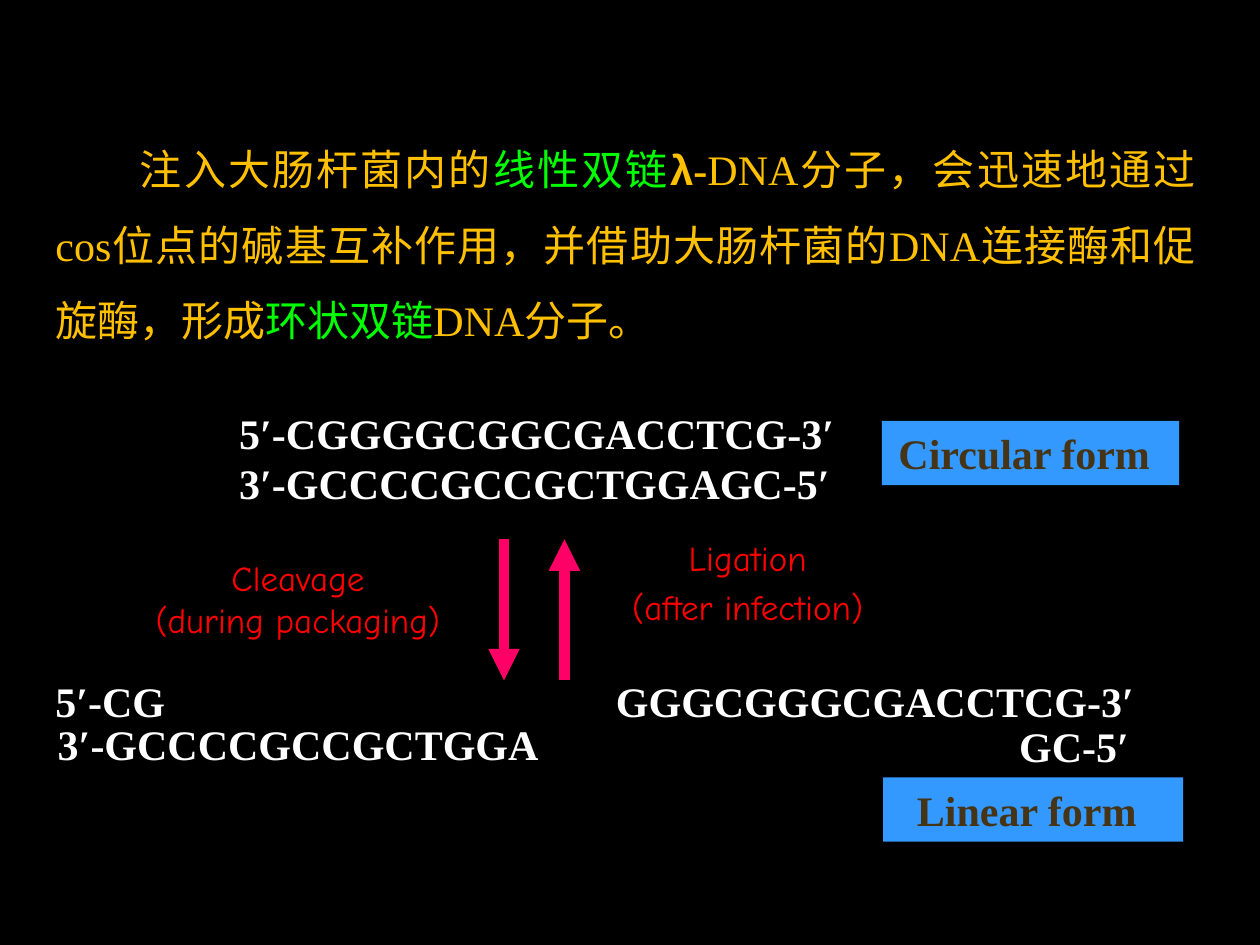
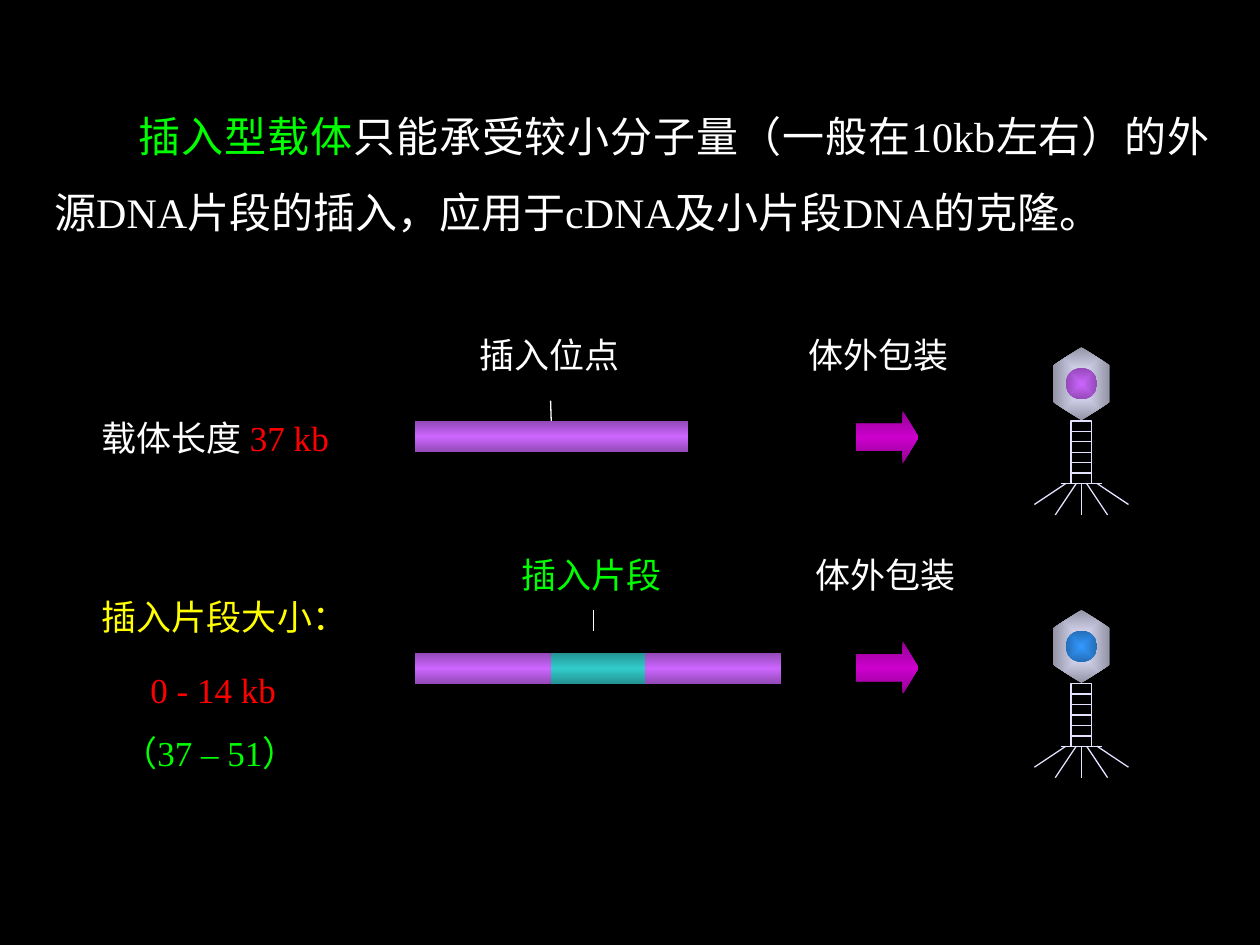
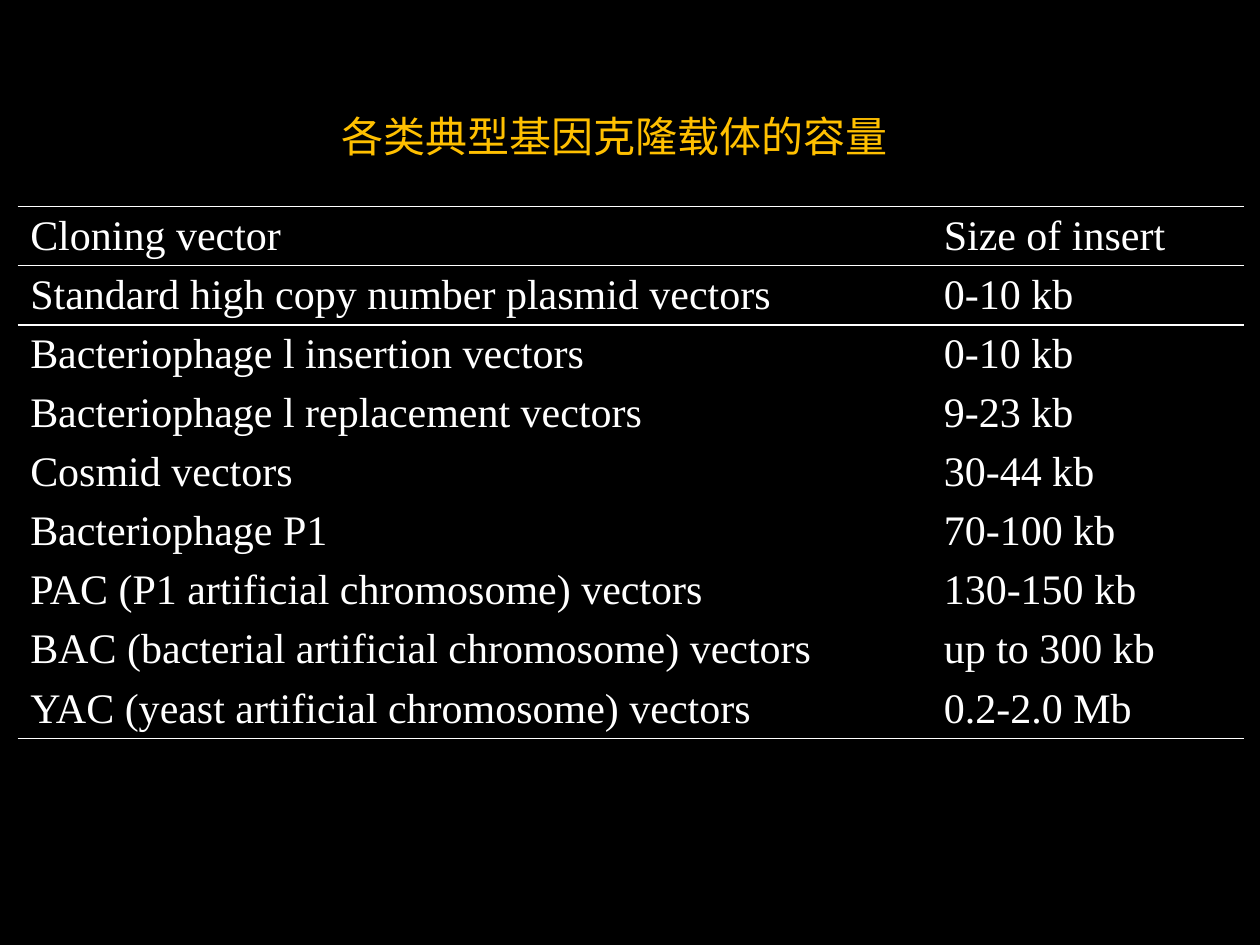
from dataclasses import dataclass
from typing import NamedTuple

from pptx import Presentation
from pptx.dml.color import RGBColor
from pptx.enum.shapes import MSO_CONNECTOR, MSO_SHAPE
from pptx.enum.text import MSO_ANCHOR, MSO_AUTO_SIZE, PP_ALIGN
from pptx.oxml import parse_xml
from pptx.oxml.ns import nsdecls, qn
from pptx.oxml.xmlchemy import OxmlElement
from pptx.util import Emu, Inches, Pt

SLIDE_WIDTH, SLIDE_HEIGHT = Inches(10), Inches(7.5)
COLUMNS, ROWS = 100, 75  # square grid cells

BLACK = RGBColor(0x00, 0x00, 0x00)
WHITE = RGBColor(0xFF, 0xFF, 0xFF)
GOLD = RGBColor(0xFF, 0xC0, 0x00)
GREEN = RGBColor(0x00, 0xFF, 0x00)
RED = RGBColor(0xFF, 0x00, 0x00)
YELLOW = RGBColor(0xFF, 0xFF, 0x00)
PINK = RGBColor(0xFF, 0x00, 0x66)
BLUE = RGBColor(0x33, 0x99, 0xFF)
DARK_BLUE = RGBColor(0x24, 0x6D, 0xB6)
BROWN = RGBColor(0x46, 0x34, 0x16)
PURPLE = RGBColor(0xCC, 0x66, 0xFF)
DARK_PURPLE = RGBColor(0x92, 0x49, 0xB6)
TEAL = RGBColor(0x33, 0xCC, 0xCC)
DARK_TEAL = RGBColor(0x24, 0x92, 0x92)
MAGENTA = RGBColor(0xCC, 0x00, 0xCC)
DARK_MAGENTA = RGBColor(0x92, 0x00, 0x92)
LAVENDER = RGBColor(0xE3, 0xE3, 0xFF)
DARK_LAVENDER = RGBColor(0x93, 0x93, 0xA5)

SERIF, SANS, ROUNDED, HAN = "Times New Roman", "Arial", "Comic Neue", "Noto Sans CJK SC"
PLAIN_TABLE_STYLE = "{2D5ABB26-0587-4C30-8999-92F81FD0307C}"


class Area(NamedTuple):
    """A rectangle in grid columns and rows."""
    left: float
    top: float
    width: float
    height: float


class Span(NamedTuple):
    text: str
    color: RGBColor = WHITE
    font: str = SERIF
    bold: bool = False


@dataclass
class Label:
    area: Area
    lines: list[list[Span]]
    size: int = 24
    align: PP_ALIGN = PP_ALIGN.LEFT
    anchor: MSO_ANCHOR = MSO_ANCHOR.TOP
    line_spacing: float = 1.0
    gap: int = 0


def columns(count: float) -> Emu:
    return Emu(round(SLIDE_WIDTH * count / COLUMNS))


def rows(count: float) -> Emu:
    return Emu(round(SLIDE_HEIGHT * count / ROWS))


def place(area: Area) -> tuple[Emu, Emu, Emu, Emu]:
    return columns(area.left), rows(area.top), columns(area.width), rows(area.height)


def move(shape, area: Area) -> None:
    shape.left, shape.top, shape.width, shape.height = place(area)


def format_run(run, span: Span, size: int) -> None:
    font = run.font
    font.name, font.size, font.bold = span.font, Pt(size), span.bold
    font.color.rgb = span.color
    east_asian = OxmlElement("a:ea")
    east_asian.set("typeface", HAN)
    font._element.find(qn("a:latin")).addnext(east_asian)


def write(frame, label: Label) -> None:
    frame.word_wrap = True
    frame.auto_size = MSO_AUTO_SIZE.NONE
    frame.vertical_anchor = label.anchor
    for index, spans in enumerate(label.lines):
        para = frame.add_paragraph() if index else frame.paragraphs[0]
        para.alignment = label.align
        para.line_spacing = label.line_spacing
        para.space_before = Pt(label.gap if index else 0)
        for span in spans:
            run = para.add_run()
            run.text = span.text
            format_run(run, span, label.size)


def add_label(page, label: Label) -> None:
    write(page.shapes.add_textbox(*place(label.area)).text_frame, label)


def add_prose(page, label: Label) -> None:
    """Fill the body placeholder with one indented, unbulleted paragraph."""
    title = page.shapes.title._element
    title.getparent().remove(title)
    body = page.placeholders[1]
    move(body, label.area)
    properties = body.text_frame.paragraphs[0]._p.get_or_add_pPr()
    properties.set("marL", "0")
    properties.set("indent", str(columns(6.7)))
    properties.append(OxmlElement("a:buNone"))
    write(body.text_frame, label)


def add_figure(page, kind: MSO_SHAPE, area: Area, fill: RGBColor | None = None):
    figure = page.shapes.add_shape(kind, *place(area))
    figure.shadow.inherit = False
    figure.line.fill.background()
    if fill is None:
        figure.fill.background()
    else:
        figure.fill.solid()
        figure.fill.fore_color.rgb = fill
    return figure


def shade(figure, colors: list[RGBColor], radial: bool = False) -> None:
    """Give the figure evenly spaced gradient stops, from the centre or downwards."""
    last = len(colors) - 1
    stops = "".join(
        f'<a:gs pos="{100000 * index // last}"><a:srgbClr val="{color}"/></a:gs>'
        for index, color in enumerate(colors))
    if radial:
        direction = ('<a:path path="shape"><a:fillToRect l="50000" t="50000" '
                     'r="50000" b="50000"/></a:path>')
    else:
        direction = '<a:lin ang="5400000" scaled="1"/>'
    gradient = parse_xml(f'<a:gradFill {nsdecls("a")} rotWithShape="0">'
                         f'<a:gsLst>{stops}</a:gsLst>{direction}</a:gradFill>')
    properties = figure._element.spPr
    properties.replace(properties.find(qn("a:noFill")), gradient)


def add_line(page, start: tuple[float, float], end: tuple[float, float],
             color: RGBColor, weight: float = 0.75, arrow: bool = False):
    line = page.shapes.add_connector(
        MSO_CONNECTOR.STRAIGHT, columns(start[0]), rows(start[1]),
        columns(end[0]), rows(end[1]))
    line.line.color.rgb = color
    line.line.width = Pt(weight)
    if arrow:
        tip = OxmlElement("a:tailEnd")
        tip.set("type", "triangle")
        line.line._get_or_add_ln().append(tip)
    line._element.spPr.append(OxmlElement("a:effectLst"))
    return line


def add_bar(page, left: float, top: float, width: float,
            color: RGBColor = PURPLE, edge: RGBColor = DARK_PURPLE):
    bar = add_figure(page, MSO_SHAPE.RECTANGLE, Area(left, top, width, 2.5))
    shade(bar, [edge, color, edge])
    return bar


def add_phage(page, center: float, neck: float, core: list[RGBColor]) -> None:
    """Draw a phage whose head meets its tail at the neck row."""
    unit = 0.83
    middle = neck - 2.95
    head = add_figure(page, MSO_SHAPE.HEXAGON,
                      Area(center - 2.9, middle - 2.25, 5.8, 4.5))
    head.rotation = 270
    head.adjustments[0] = 0.32
    shade(head, [LAVENDER, DARK_LAVENDER], radial=True)
    genome = add_figure(page, MSO_SHAPE.OVAL,
                        Area(center - 1.25, middle - 1.25, 2.5, 2.5))
    shade(genome, core, radial=True)

    for index in range(6):
        segment = add_figure(page, MSO_SHAPE.RECTANGLE,
                             Area(center - unit, neck + index * unit, 2 * unit, unit))
        segment.line.color.rgb = LAVENDER
        segment.line.width = Pt(0.75)

    base = neck + 6 * unit
    add_line(page, (center - 2 * unit, base), (center + 2 * unit, base), LAVENDER)
    for hip, foot, drop in ((-1.5, -4.5, 2), (1.5, 4.5, 2),
                            (-0.5, -2.5, 3), (0.5, 2.5, 3), (0, 0, 3)):
        leg = add_line(page, (center + hip * unit, base),
                       (center + foot * unit, base + drop * unit), LAVENDER)
        if hip == 0:
            leg.begin_connect(segment, 2)


def build_cos_site(deck) -> None:
    page = deck.slides.add_slide(deck.slide_layouts[1])
    add_prose(page, Label(Area(3.4, 8.9, 92.5, 19.2), [[
        Span("注入大肠杆菌内的", GOLD), Span("线性双链", GREEN),
        Span("λ", GOLD, SANS, True), Span("-", GOLD, bold=True),
        Span("DNA分子，会迅速地通过cos位点的碱基互补作用，"
             "并借助大肠杆菌的DNA连接酶和促旋酶，形成", GOLD),
        Span("环状双链", GREEN), Span("DNA分子。", GOLD),
    ]], align=PP_ALIGN.JUSTIFY, line_spacing=1.5))

    top, bottom = 42.8, 54
    add_line(page, (40, top), (40, bottom), PINK, 6, arrow=True)
    add_line(page, (44.8, bottom), (44.8, top), PINK, 6, arrow=True)

    for name, area in (("Circular form", Area(70, 33.4, 23.6, 5.1)),
                       ("Linear form", Area(70.1, 61.7, 23.8, 5.1))):
        plate = add_figure(page, MSO_SHAPE.RECTANGLE, area, BLUE)
        plate.text_frame.margin_right = columns(2)
        write(plate.text_frame, Label(area, [[Span(name, BROWN, bold=True)]],
                                      align=PP_ALIGN.CENTER, anchor=MSO_ANCHOR.MIDDLE))

    for bases, area, spacing in (
            ("3′-GCCCCGCCGCTGGAGC-5′", Area(18, 35.7, 50, 5.1), 1),
            ("5′-CGGGGCGGCGACCTCG-3′", Area(18, 31.7, 50, 5.1), 1),
            ("GGGCGGGCGACCTCG-3′", Area(47.9, 53.1, 53.9, 5), 1),
            ("GC-5′", Area(79.9, 55.4, 16.8, 6.3), 1.5),
            ("5′-CG", Area(3.4, 53, 11.5, 5.1), 1),
            ("3′-GCCCCGCCGCTGGA", Area(3.6, 56.4, 41, 5.1), 1)):
        add_label(page, Label(area, [[Span(bases, bold=True)]],
                              anchor=MSO_ANCHOR.BOTTOM, line_spacing=spacing))

    for step, stage, area, gap in (
            ("Cleavage", "(during packaging)", Area(10.1, 43.6, 27.1, 7.7), 0),
            ("Ligation", "(after infection)", Area(47.2, 42, 24.3, 8.3), 4)):
        add_label(page, Label(area, [[Span(step, RED, ROUNDED)], [Span(stage, RED, ROUNDED)]],
                              20, PP_ALIGN.CENTER, MSO_ANCHOR.BOTTOM, gap=gap))


def build_insertion_vector(deck) -> None:
    page = deck.slides.add_slide(deck.slide_layouts[1])
    add_prose(page, Label(Area(3.3, 6.3, 93.7, 12.4), [[
        Span("插入型载体", GREEN),
        Span("只能承受较小分子量（一般在10kb左右）的外源DNA片段的插入，"
             "应用于cDNA及小片段DNA的克隆。"),
    ]], align=PP_ALIGN.JUSTIFY, line_spacing=1.5))

    vector = add_bar(page, 32.9, 33.4, 21.7)
    site = add_line(page, (43.7, 33.4), (43.7, 31.8), WHITE)
    site.begin_connect(vector, 0)
    add_bar(page, 32.9, 51.8, 10.8)
    add_bar(page, 51.2, 51.8, 10.8)
    add_bar(page, 43.7, 51.8, 7.5, TEAL, DARK_TEAL)
    add_line(page, (47.1, 48.4), (47.1, 50.1), WHITE)

    for top in (32.2, 50.5):
        arrow = add_figure(page, MSO_SHAPE.DOWN_ARROW, Area(68.3, top, 4.2, 5))
        arrow.rotation = 270
        arrow.adjustments[1] = 0.3
        shade(arrow, [DARK_MAGENTA, MAGENTA, DARK_MAGENTA])

    add_phage(page, 85.83, 33.4, [PURPLE, DARK_PURPLE])
    add_phage(page, 85.83, 54.25, [BLUE, DARK_BLUE])

    left, right = PP_ALIGN.LEFT, PP_ALIGN.RIGHT
    for x, y, width, align, spans in (
            (63.2, 24.3, 14.2, left, [Span("体外包装")]),
            (37.1, 24.3, 14.2, left, [Span("插入位点")]),
            (63.7, 41.8, 14.2, left, [Span("体外包装")]),
            (40.4, 41.8, 14.2, left, [Span("插入片段", GREEN)]),
            (7.1, 30.9, 22.8, left, [Span("载体长度 "), Span("37 kb", RED)]),
            (7.1, 45.1, 21.7, left, [Span("插入片段大小：", YELLOW)]),
            (7.9, 50.9, 15, right, [Span("0 - 14 kb", RED)]),
            (5.4, 55.9, 19.2, right, [Span("（37 – 51）", GREEN)])):
        add_label(page, Label(Area(x, y, width, 6.7), [spans], 20, align, line_spacing=1.5))


def rule_cell(cell, sides: list[str]) -> None:
    """Draw white rules on the given sides, named by their border tags."""
    properties = cell._tc.get_or_add_tcPr()
    for index, side in enumerate(sides):
        properties.insert(index, parse_xml(
            f'<a:{side} {nsdecls("a")} w="{Pt(1)}"><a:solidFill>'
            f'<a:srgbClr val="{WHITE}"/></a:solidFill></a:{side}>'))


def build_capacity_table(deck) -> None:
    page = deck.slides.add_slide(deck.slide_layouts[5])
    heading = Label(Area(15.3, 8.3, 67, 5), [[Span("各类典型基因克隆载体的容量", GOLD, HAN)]],
                    align=PP_ALIGN.CENTER)
    move(page.shapes.title, heading.area)
    write(page.shapes.title.text_frame, heading)

    capacities = (
        ("Cloning vector", "Size of insert"),
        ("Standard high copy number plasmid vectors", "0-10 kb"),
        ("Bacteriophage l insertion vectors", "0-10 kb"),
        ("Bacteriophage l replacement vectors", "9-23 kb"),
        ("Cosmid vectors", "30-44 kb"),
        ("Bacteriophage P1", "70-100 kb"),
        ("PAC (P1 artificial chromosome) vectors", "130-150 kb"),
        ("BAC (bacterial artificial chromosome) vectors", "up to 300 kb"),
        ("YAC (yeast artificial chromosome) vectors", "0.2-2.0 Mb"),
    )
    count = len(capacities)
    area = Area(1.4, 16.4, 97.3, 4.69 * count)
    table = page.shapes.add_table(count, 2, *place(area)).table
    table.first_row = table.horz_banding = False
    table._tbl.tblPr.find(qn("a:tableStyleId")).text = PLAIN_TABLE_STYLE
    for column, width in zip(table.columns, (72.5, 24.8)):
        column.width = columns(width)
    borders = {0: ["lnT", "lnB"], 1: ["lnT"], count - 1: ["lnB"]}
    for row, values in enumerate(capacities):
        for column, value in enumerate(values):
            cell = table.cell(row, column)
            cell.text = value
            cell.fill.background()
            format_run(cell.text_frame.paragraphs[0].runs[0], Span(value), 24)
            rule_cell(cell, borders.get(row, []))


def main() -> None:
    deck = Presentation()
    deck.slide_width, deck.slide_height = SLIDE_WIDTH, SLIDE_HEIGHT
    backdrop = deck.slide_master.background.fill
    backdrop.solid()
    backdrop.fore_color.rgb = BLACK
    build_cos_site(deck)
    build_insertion_vector(deck)
    build_capacity_table(deck)
    deck.save("out.pptx")


if __name__ == "__main__":
    main()
